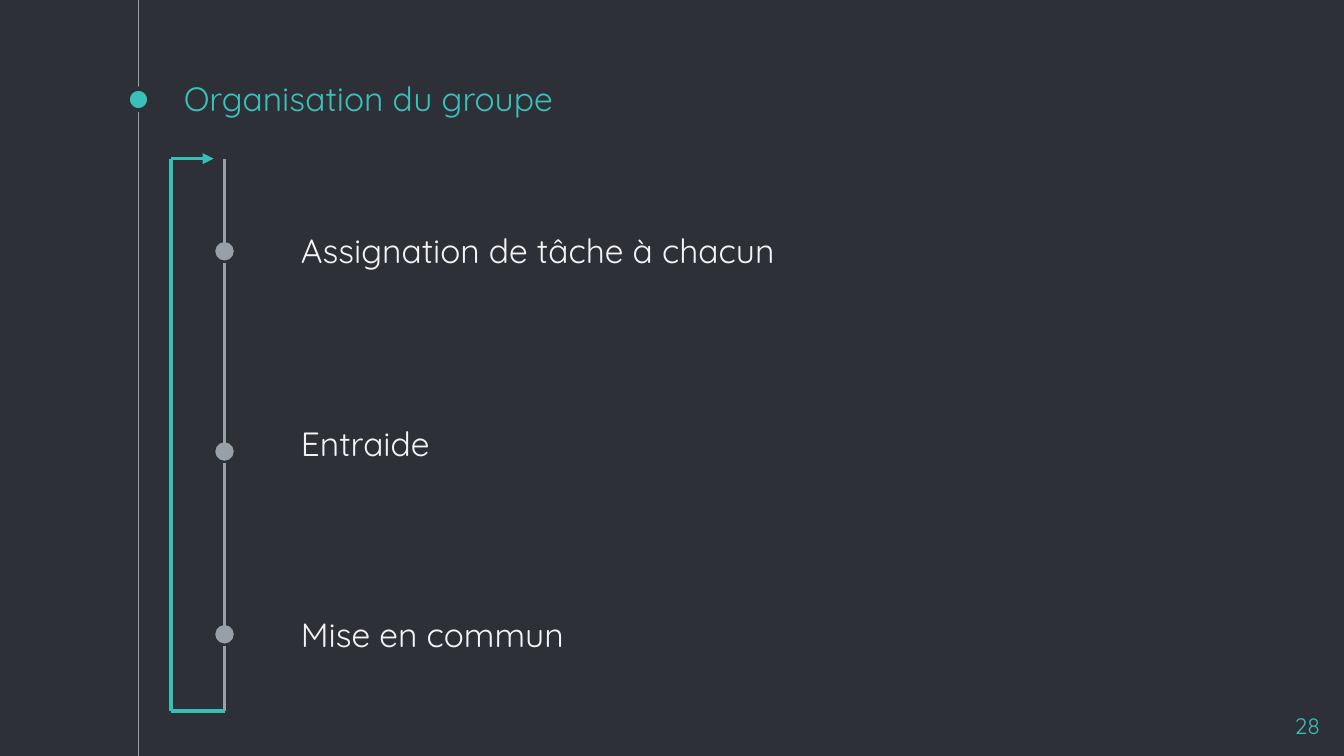
from dataclasses import dataclass

from lxml import etree
from pptx import Presentation
from pptx.dml.color import RGBColor
from pptx.enum.shapes import MSO_CONNECTOR, MSO_SHAPE
from pptx.enum.text import MSO_ANCHOR, PP_ALIGN
from pptx.oxml.ns import qn
from pptx.util import Pt

STRAIGHT = MSO_CONNECTOR.STRAIGHT
OVAL = MSO_SHAPE.OVAL
TOP, BOTTOM = MSO_ANCHOR.TOP, MSO_ANCHOR.BOTTOM
LEFT, RIGHT = PP_ALIGN.LEFT, PP_ALIGN.RIGHT


@dataclass(frozen=True)
class Theme:
    background: RGBColor = RGBColor.from_string("2E3037")
    accent: RGBColor = RGBColor.from_string("39C0BA")
    loop: RGBColor = RGBColor.from_string("34BFB9")
    rail: RGBColor = RGBColor.from_string("999FA9")
    text: RGBColor = RGBColor.from_string("F3F3F3")
    font: str = "Quicksand"
    body_size: int = 18
    number_size: int = 12
    inset: float = 7.2


class SlideBuilder:
    def __init__(self, slide, theme):
        self.slide = slide
        self.theme = theme
        slide.background.fill.solid()
        slide.background.fill.fore_color.rgb = theme.background

    def line(self, start, end, color, weight=1.75, tail=None, tail_size="med"):
        connector = self.slide.shapes.add_connector(
            STRAIGHT, *(Pt(value) for value in (*start, *end)))
        connector.line.color.rgb = color
        connector.line.width = Pt(weight)
        if tail:
            etree.SubElement(connector.line._get_or_add_ln(), qn("a:tailEnd"),
                             type=tail, w=tail_size, len=tail_size)
        etree.SubElement(connector._element.spPr, qn("a:effectLst"))

    def dot(self, x, y, diameter, color):
        marker = self.slide.shapes.add_shape(
            OVAL, Pt(x - diameter / 2), Pt(y - diameter / 2), Pt(diameter), Pt(diameter))
        marker.shadow.inherit = False
        marker.fill.solid()
        marker.fill.fore_color.rgb = color
        marker.line.color.rgb = self.theme.background
        marker.line.width = Pt(2.25)

    def text(self, content, box, color, size, anchor=TOP, align=LEFT):
        frame = self.slide.shapes.add_textbox(*(Pt(value) for value in box)).text_frame
        frame.word_wrap = True
        frame.vertical_anchor = anchor
        frame.margin_left = frame.margin_right = Pt(self.theme.inset)
        frame.margin_top = frame.margin_bottom = Pt(self.theme.inset)
        paragraph = frame.paragraphs[0]
        paragraph.text = content
        paragraph.alignment = align
        paragraph.font.name = self.theme.font
        paragraph.font.size = Pt(size)
        paragraph.font.color.rgb = color


def main():
    width, height = 720, 405
    presentation = Presentation()
    presentation.slide_width, presentation.slide_height = Pt(width), Pt(height)
    theme = Theme()
    builder = SlideBuilder(
        presentation.slides.add_slide(presentation.slide_layouts[6]), theme)

    margin_x = 74.2
    builder.line((margin_x, 0), (margin_x, height), theme.rail, 0.75)
    builder.dot(margin_x, 53.3, 11.5, theme.accent)
    builder.text("Organisation du groupe", (91.4, 43.2, 540, 27.4),
                 theme.accent, theme.body_size, anchor=BOTTOM)

    rail_x, loop_x, step_x = 120.3, 91.7, 154.1
    rail_top, rail_bottom, gap = 85, 381, 6.4
    steps = [
        ("Assignation de tâche à chacun", 134.6, (115.9, 284, 52.6)),
        ("Entraide", 241.9, (219.6, 182, 22.3)),
        ("Mise en commun", 339.8, (321.8, 204, 72)),
    ]
    segment_top = rail_top
    for label, dot_y, (label_top, label_width, label_height) in steps:
        builder.line((rail_x, segment_top), (rail_x, dot_y), theme.rail,
                     tail="oval", tail_size="lg")
        builder.text(label, (step_x, label_top, label_width, label_height),
                     theme.text, theme.body_size)
        segment_top = dot_y + gap
    builder.line((rail_x, segment_top), (rail_x, rail_bottom), theme.rail)

    builder.line((rail_x, rail_bottom), (loop_x, rail_bottom), theme.loop)
    builder.line((loop_x, rail_bottom), (loop_x, rail_top), theme.loop)
    builder.line((loop_x, rail_top), (114.5, rail_top), theme.loop, 1.5, tail="triangle")

    builder.text("28", (671, 374.4, 43.2, 24.5), theme.accent,
                 theme.number_size, align=RIGHT)
    presentation.save("out.pptx")


if __name__ == "__main__":
    main()
